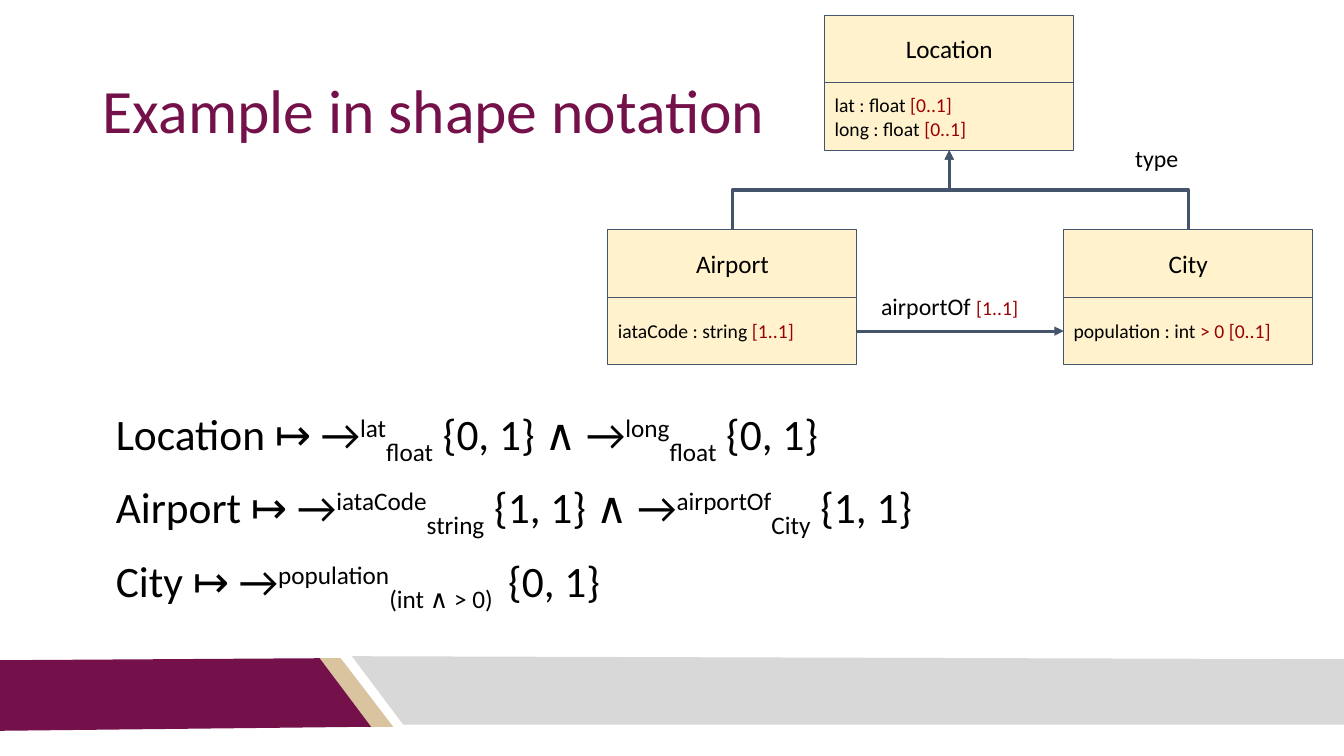
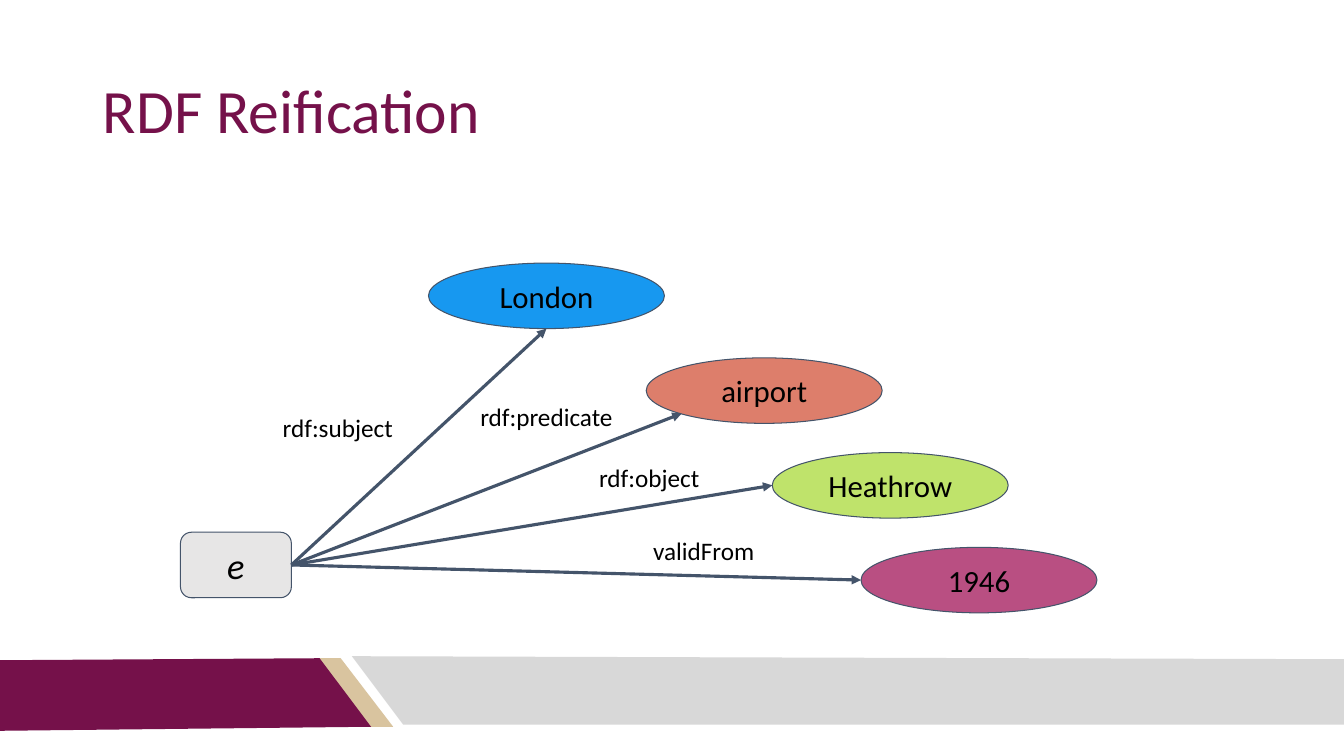
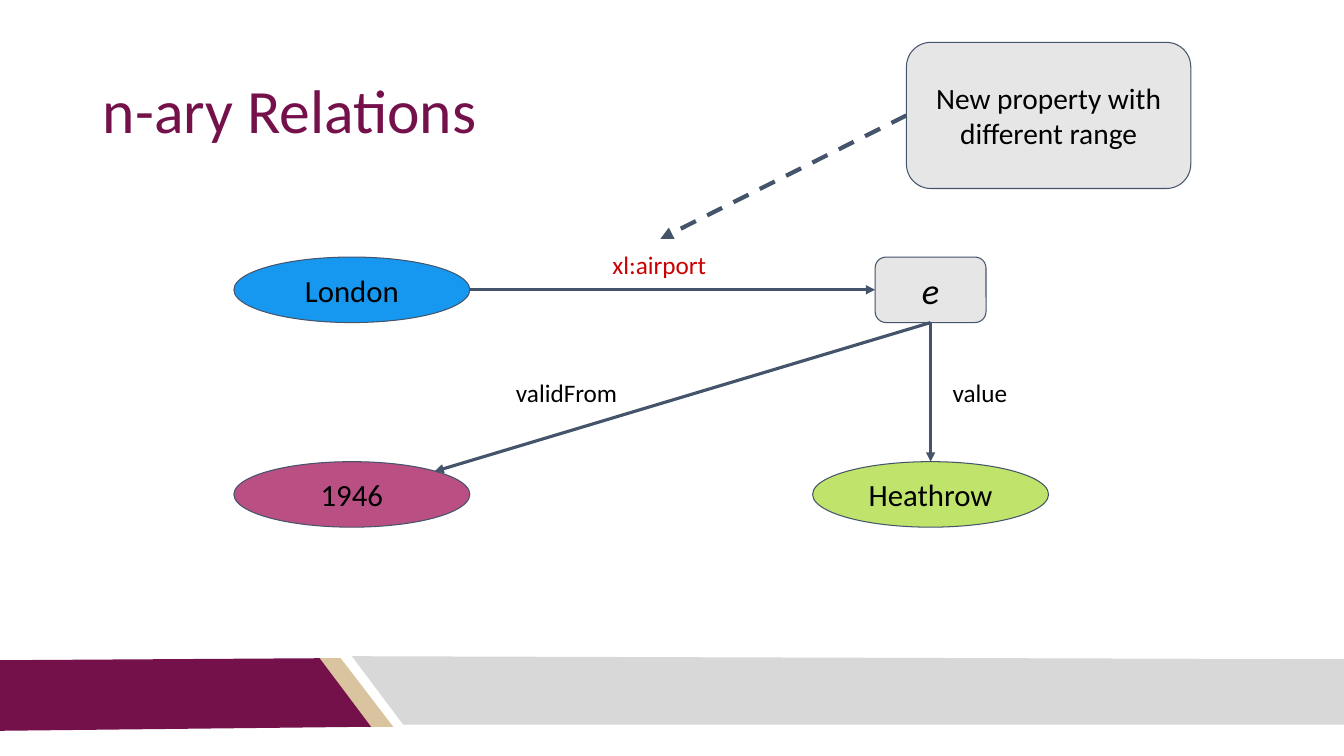
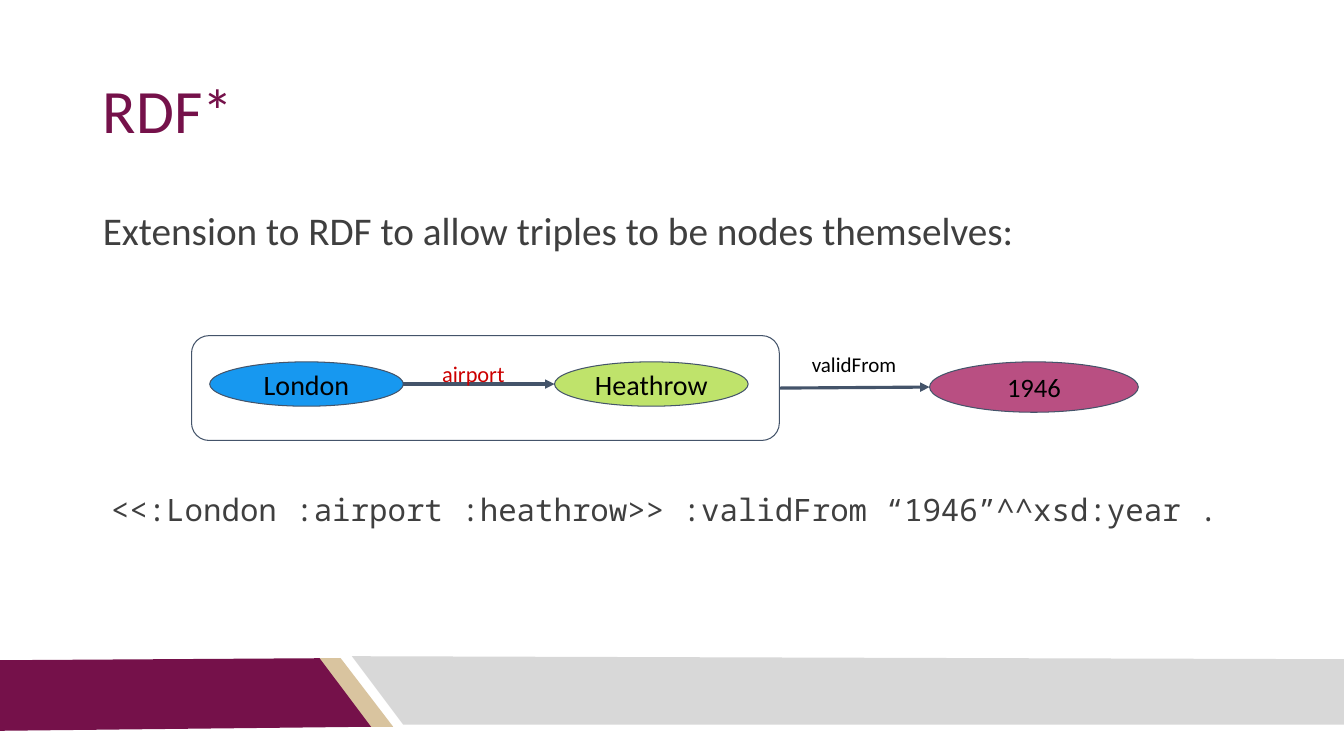
from dataclasses import dataclass
from typing import NamedTuple

from lxml import etree
from pptx import Presentation
from pptx.dml.color import RGBColor
from pptx.enum.dml import MSO_LINE
from pptx.enum.shapes import MSO_CONNECTOR, MSO_SHAPE
from pptx.enum.text import MSO_ANCHOR, MSO_AUTO_SIZE, PP_ALIGN
from pptx.oxml.ns import qn
from pptx.shapes.autoshape import Shape
from pptx.shapes.connector import Connector
from pptx.slide import Slide
from pptx.text.text import Font, TextFrame
from pptx.util import Pt

PX = 9144  # EMU; 100 px to the inch
WIDE, HIGH = 1333, 750
PAD = 10

SANS, MONO = "Calibri", "Noto Sans Mono"
PLUM, SAND, SILVER = "75114A", "D9C49F", "D8D8D8"
INK, DARK, SLATE = "000000", "3F3F3F", "44546A"
CREAM, PALE = "FFF2CC", "E7E6E6"
MAROON, RED = "990000", "CC0000"
LIME = "B0DD46"
HUES = {"London": "1798F0", "Heathrow": LIME, "airport": "DD7E6B", "1946": "B94F82"}

RECT, ROUND, OVAL = MSO_SHAPE.RECTANGLE, MSO_SHAPE.ROUNDED_RECTANGLE, MSO_SHAPE.OVAL
STRAIGHT, ELBOW = MSO_CONNECTOR.STRAIGHT, MSO_CONNECTOR.ELBOW
DASH = MSO_LINE.DASH
LEFT_AL, CENTER = PP_ALIGN.LEFT, PP_ALIGN.CENTER
MIDDLE, UPPER = MSO_ANCHOR.MIDDLE, MSO_ANCHOR.TOP
FIXED, GROW = MSO_AUTO_SIZE.NONE, MSO_AUTO_SIZE.SHAPE_TO_FIT_TEXT

TOP, LEFT, BOTTOM, RIGHT, LOW_LEFT, HIGH_RIGHT = range(6)
SPOTS = ((0.5, 0), (0, 0.5), (0.5, 1), (1, 0.5), (0.15, 0.85), (0.85, 0.15))


class Area(NamedTuple):
    x: int
    y: int
    w: int
    h: int


class Band(NamedTuple):
    fill: str
    points: tuple[tuple[int, int], ...]


class Span(NamedTuple):
    text: str
    color: str = INK
    size: int = 0
    base: int = 0


class Port(NamedTuple):
    shape: Shape
    side: int


@dataclass
class Entity:
    name: str
    x: int
    y: int
    rows: list[list[Span]]


@dataclass
class Label:
    text: str
    area: Area
    size: int = 18
    color: str = INK
    align: PP_ALIGN = CENTER


End = Port | tuple[int, int]

TITLE = Area(92, 40, 1150, 145)
BANDS = (
    Band(SAND, ((316, 653), (338, 653), (390, 721), (367, 721))),
    Band(PLUM, ((0, 655), (317, 653), (368, 721), (0, 725))),
    Band(SILVER, ((WIDE, 719), (400, 719), (349, 651), (WIDE, 654))),
)


def hue(code: str) -> RGBColor:
    return RGBColor.from_string(code)


def scale(area: Area) -> list[int]:
    return [value * PX for value in area]


def dress(font: Font, size: int, color: str, face: str = SANS) -> None:
    font.name, font.size = face, Pt(size)
    font.color.rgb = hue(color)


def frame_up(frame: TextFrame, anchor: MSO_ANCHOR, fit: MSO_AUTO_SIZE = FIXED) -> None:
    """Set the insets, wrapping, anchor and fit of a text frame."""
    frame.word_wrap, frame.auto_size = True, fit
    frame.vertical_anchor = anchor
    frame.margin_left = frame.margin_right = PAD * PX
    frame.margin_top = frame.margin_bottom = PAD * PX


def write(frame: TextFrame, text: str, size: int, color: str = INK,
          align: PP_ALIGN = CENTER, face: str = SANS) -> None:
    frame.text = text
    for par in frame.paragraphs:
        par.alignment = align
        for run in par.runs:
            dress(run.font, size, color, face)


def write_rows(frame: TextFrame, rows: list[list[Span]], size: int, gap: int = 0) -> None:
    """Write one paragraph per row, each made of spans."""
    for i, row in enumerate(rows):
        par = frame.add_paragraph() if i else frame.paragraphs[0]
        par.alignment = LEFT_AL
        par.space_before = Pt(gap if i else 0)
        for span in row:
            run = par.add_run()
            run.text = span.text
            dress(run.font, span.size or size, span.color)
            if span.base:
                run.font._element.set("baseline", str(span.base * 1000))


def fill_holder(holder: Shape, area: Area, text: str, size: int, color: str,
                anchor: MSO_ANCHOR, face: str = SANS) -> None:
    """Move a placeholder and set its text, without a bullet."""
    holder.left, holder.top, holder.width, holder.height = scale(area)
    frame = holder.text_frame
    frame_up(frame, anchor)
    frame.text = text
    par = frame.paragraphs[0]
    props = par._p.get_or_add_pPr()
    props.set("marL", "0")
    props.set("indent", "0")
    etree.SubElement(props, qn("a:buNone"))
    par.alignment, par.line_spacing, par.space_before = LEFT_AL, 0.9, Pt(0)
    dress(par.runs[0].font, size, color, face)


def put_bands(slide: Slide) -> None:
    """Build the bands on a slide and move them to its master."""
    tree = slide.slide_layout.slide_master.shapes.element
    for i, band in enumerate(BANDS):
        first, *rest = band.points
        pen = slide.shapes.build_freeform(*first, scale=PX)
        pen.add_line_segments(rest, close=True)
        shape = pen.convert_to_shape()
        shape.shadow.inherit = False
        shape.fill.solid()
        shape.fill.fore_color.rgb = hue(band.fill)
        shape.line.fill.background()
        shape.element.nvSpPr.cNvPr.set("id", str(50 + i))
        tree.insert(2 + i, shape.element)


def add_page(deck: Presentation, title: str, kind: int = 5) -> Slide:
    slide = deck.slides.add_slide(deck.slide_layouts[kind])
    fill_holder(slide.shapes.title, TITLE, title, 44, PLUM, MIDDLE)
    return slide


def add_box(slide: Slide, kind: MSO_SHAPE, area: Area, fill: str = "") -> Shape:
    shape = slide.shapes.add_shape(kind, *scale(area))
    shape.shadow.inherit = False
    if fill:
        shape.fill.solid()
        shape.fill.fore_color.rgb = hue(fill)
    else:
        shape.fill.background()
    shape.line.color.rgb = hue(SLATE)
    shape.line.width = Pt(0.75)
    frame_up(shape.text_frame, MIDDLE)
    return shape


def add_oval(slide: Slide, name: str, x: int, y: int,
             w: int = 234, h: int = 65, size: int = 22) -> Shape:
    shape = add_box(slide, OVAL, Area(x, y, w, h), HUES[name])
    if HUES[name] == LIME:
        tint = shape.element.spPr.find(".//" + qn("a:srgbClr"))
        etree.SubElement(tint, qn("a:alpha"), val="80000")
    write(shape.text_frame, name, size)
    return shape


def add_event(slide: Slide, x: int, y: int) -> Shape:
    shape = add_box(slide, ROUND, Area(x, y, 110, 65), PALE)
    write(shape.text_frame, "e", 26)
    shape.text_frame.paragraphs[0].runs[0].font.italic = True
    return shape


def add_entity(slide: Slide, item: Entity) -> tuple[Shape, Shape]:
    """Draw a class as a head above its attributes."""
    w, h = 247, 67
    head = add_box(slide, RECT, Area(item.x, item.y, w, h), CREAM)
    write(head.text_frame, item.name, 18)
    body = add_box(slide, RECT, Area(item.x, item.y + h, w, h), CREAM)
    write_rows(body.text_frame, item.rows, 14)
    return head, body


def add_text(slide: Slide, area: Area) -> TextFrame:
    frame = slide.shapes.add_textbox(*scale(area)).text_frame
    frame_up(frame, UPPER, GROW)
    return frame


def add_label(slide: Slide, label: Label) -> None:
    write(add_text(slide, label.area), label.text, label.size, label.color, label.align)


def locate(end: End) -> tuple[int, int]:
    if not isinstance(end, Port):
        return end[0] * PX, end[1] * PX
    shape, (fx, fy) = end.shape, SPOTS[end.side]
    return round(shape.left + fx * shape.width), round(shape.top + fy * shape.height)


def joins(end: End) -> bool:
    return isinstance(end, Port) and end.shape.auto_shape_type != OVAL


def add_arrow(slide: Slide, start: End, stop: End, width: float = 2.25,
              dash: bool = False, kind: MSO_CONNECTOR = STRAIGHT) -> Connector:
    wire = slide.shapes.add_connector(kind, *locate(start), *locate(stop))
    if joins(start):
        wire.begin_connect(*start)
    if joins(stop):
        wire.end_connect(*stop)
    wire.line.color.rgb = hue(SLATE)
    wire.line.width = Pt(width)
    if dash:
        wire.line.dash_style = DASH
    props = wire.element.spPr
    etree.SubElement(props.find(qn("a:ln")), qn("a:tailEnd"), type="triangle")
    etree.SubElement(props, qn("a:effectLst"))
    return wire


def add_bend(slide: Slide, start: Port, stop: Port) -> None:
    """Draw an elbow arrow that leaves and arrives upright."""
    (x1, y1), (x2, y2) = locate(start), locate(stop)
    wire = add_arrow(slide, start, stop, kind=ELBOW)
    w, h = abs(y2 - y1), abs(x2 - x1)
    wire.left, wire.top = (x1 + x2 - w) // 2, (y1 + y2 - h) // 2
    wire.width, wire.height = w, h
    form = wire.element.spPr.find(qn("a:xfrm"))
    for name in ("flipH", "flipV"):
        form.attrib.pop(name, None)
    form.set("rot", str((270 if x1 < x2 else 90) * 60000))
    if x1 > x2:
        form.set("flipH", "1")


def up(text: str) -> Span:
    return Span(text, base=30)


def down(text: str) -> Span:
    return Span(text, base=-25)


def draw_shapes(deck: Presentation) -> None:
    slide = add_page(deck, "Example in shape notation")
    put_bands(slide)
    once = Span("[0..1]", MAROON)
    place = Entity("Location", 818, 15, [[Span("lat : float "), once],
                                         [Span("long : float "), once]])
    port = Entity("Airport", 603, 228, [[Span("iataCode : string "), Span("[1..1]", MAROON)]])
    city = Entity("City", 1055, 228, [[Span("population : int "), Span("> 0 [0..1]", MAROON)]])
    (_, base), (port_head, port_body), (city_head, city_body) = [
        add_entity(slide, item) for item in (place, port, city)]
    for head in (port_head, city_head):
        add_bend(slide, Port(head, TOP), Port(base, BOTTOM))
    add_arrow(slide, Port(port_body, RIGHT), Port(city_body, LEFT))
    add_label(slide, Label("type", Area(1116, 133, 103, 49), 17, align=LEFT_AL))
    write_rows(add_text(slide, Area(864, 279, 198, 49)),
               [[Span("airportOf "), Span("[1..1]", MAROON, 14)]], 17)
    rules = [
        [Span("Location ↦ →"), up("lat"), down("float"), Span(" {0, 1} ∧ →"),
         up("long"), down("float"), Span(" {0, 1}")],
        [Span("Airport ↦ →"), up("iataCode"), down("string"), Span(" {1, 1} ∧ →"),
         up("airportOf"), down("City"), Span(" {1, 1}")],
        [Span("City ↦ →"), up("population"), down("(int ∧ > 0) "), Span(" {0, 1}")],
    ]
    write_rows(add_text(slide, Area(105, 394, 1114, 205)), rules, 31, gap=10)


def draw_reified(deck: Presentation) -> None:
    slide = add_page(deck, "RDF Reification")
    event = add_event(slide, 179, 528)
    ends = (("London", 425, BOTTOM), ("airport", 641, LOW_LEFT),
            ("Heathrow", 766, LEFT), ("1946", 854, LEFT))
    for i, (name, x, side) in enumerate(ends):
        oval = add_oval(slide, name, x, 261 + 94 * i)
        add_arrow(slide, Port(event, RIGHT), Port(oval, side))
    for text, x, y in (("rdf:subject", 252, 399), ("rdf:predicate", 459, 388),
                       ("rdf:object", 561, 449), ("validFrom", 615, 521)):
        add_label(slide, Label(text, Area(x, y, 166, 50)))


def draw_nary(deck: Presentation) -> None:
    slide = add_page(deck, "n-ary Relations")
    town = add_oval(slide, "London", 232, 255)
    field = add_oval(slide, "Heathrow", 806, 458)
    year = add_oval(slide, "1946", 232, 458)
    event = add_event(slide, 868, 255)
    add_label(slide, Label("xl:airport", Area(571, 237, 166, 50), color=RED))
    add_label(slide, Label("value", Area(935, 364, 166, 50), align=LEFT_AL))
    add_label(slide, Label("validFrom", Area(479, 364, 166, 50)))
    add_arrow(slide, Port(town, RIGHT), Port(event, LEFT))
    add_arrow(slide, Port(event, BOTTOM), Port(field, TOP))
    add_arrow(slide, Port(event, BOTTOM), Port(year, HIGH_RIGHT))
    note = add_box(slide, ROUND, Area(899, 42, 282, 145), PALE)
    write(note.text_frame, "New property with different range", 21)
    add_arrow(slide, Port(note, LEFT), (655, 237), 3, dash=True)


def draw_star(deck: Presentation) -> None:
    slide = add_page(deck, "RDF*", 3)
    lead, code = slide.placeholders[1], slide.placeholders[2]
    fill_holder(lead, Area(92, 200, 1150, 104),
                "Extension to RDF to allow triples to be nodes themselves:", 28, DARK, UPPER)
    fill_holder(code, Area(100, 481, 1150, 104),
                "<<:London :airport :heathrow>> :validFrom “1946”^^xsd:year .",
                22, DARK, UPPER, MONO)
    triple = add_box(slide, ROUND, Area(190, 333, 583, 104))
    town = add_oval(slide, "London", 208, 359, 192, 44, 20)
    field = add_oval(slide, "Heathrow", 550, 359, 192, 44, 20)
    year = add_oval(slide, "1946", 922, 359, 207, 50, 19)
    add_arrow(slide, Port(town, RIGHT), Port(field, LEFT))
    add_arrow(slide, Port(triple, RIGHT), Port(year, LEFT))
    add_label(slide, Label("airport", Area(419, 347, 101, 47), 16, RED))
    add_label(slide, Label("validFrom", Area(764, 339, 166, 45), 15))


def main() -> None:
    deck = Presentation()
    deck.slide_width, deck.slide_height = WIDE * PX, HIGH * PX
    for draw in (draw_shapes, draw_reified, draw_nary, draw_star):
        draw(deck)
    deck.save("out.pptx")


if __name__ == "__main__":
    main()
